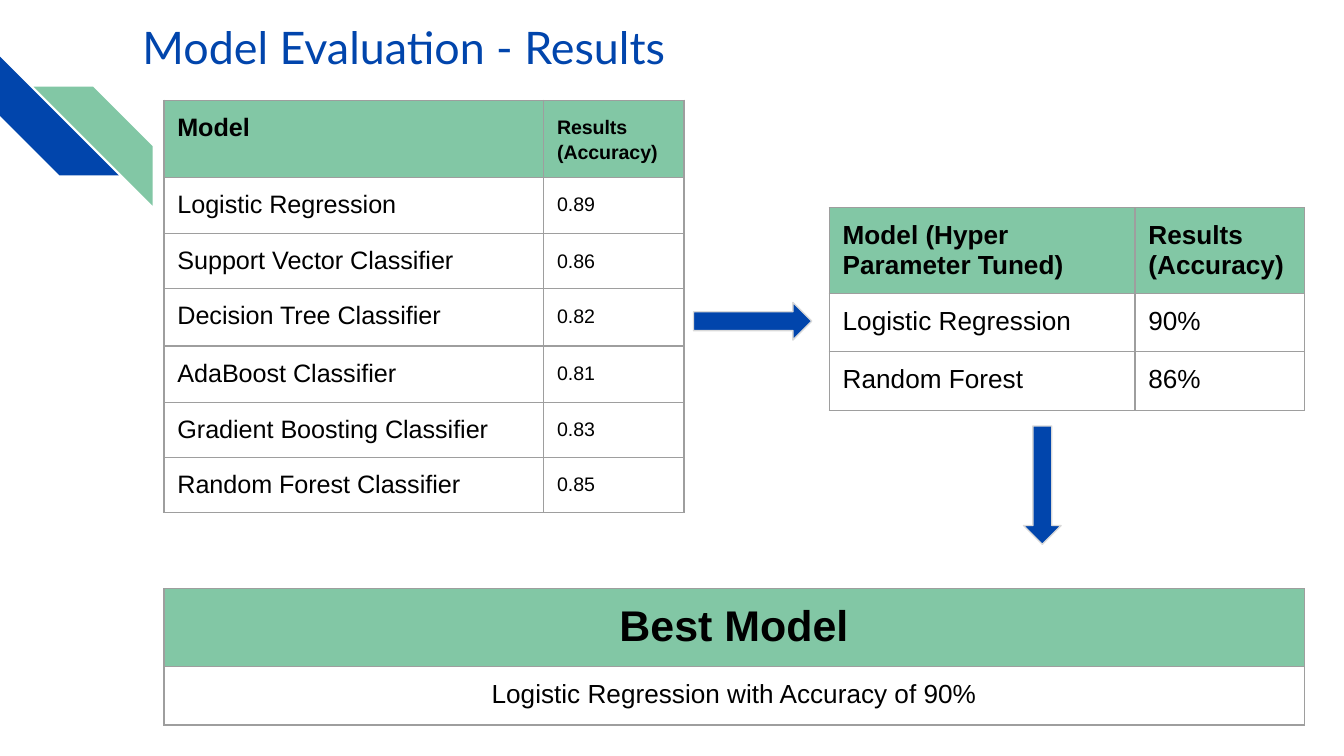
from lxml.etree import SubElement as Sub
from pptx import Presentation
from pptx.dml.color import RGBColor
from pptx.enum.shapes import MSO_SHAPE as Shape
from pptx.enum.text import MSO_ANCHOR as Anchor, PP_ALIGN as Align
from pptx.oxml.ns import qn
from pptx.util import Inches, Pt

BLUE, GREEN, GREY, PALE, BLACK = "0145AC", "82C7A5", "9E9E9E", "D9D9D9", "000000"
CELLS = 10  # grid columns and rows per inch
PAD = Inches(0.1)


def size(n):
    return Inches(n / CELLS)


def color(code):
    return RGBColor.from_string(code)


class Deck:
    def __init__(self, cols, rows):
        self.prs = Presentation()
        self.prs.slide_width, self.prs.slide_height = size(cols), size(rows)
        self.slide = self.prs.slides.add_slide(self.prs.slide_layouts[5])
        self.shapes = self.slide.shapes

    def style(self, par, pts, code=BLACK, bold=False, font="Arial", align=Align.LEFT):
        par.alignment = align
        par.font.name, par.font.size, par.font.bold = font, Pt(pts), bold
        par.font.color.rgb = color(code)

    def title(self, text, x, y, w, h):
        box = self.shapes.title
        box.left, box.top, box.width, box.height = map(size, (x, y, w, h))
        frame = box.text_frame
        frame.text, frame.word_wrap = text, True
        frame.vertical_anchor = Anchor.TOP
        frame.margin_left = frame.margin_right = PAD
        frame.margin_top = frame.margin_bottom = PAD
        self.style(frame.paragraphs[0], 24, BLUE, font="Lato")

    def shape(self, kind, x, y, w, h, fill, turn=0, line=None):
        item = self.shapes.add_shape(kind, *map(size, (x, y, w, h)))
        item.shadow.inherit = False
        item.rotation = turn
        item.fill.solid()
        item.fill.fore_color.rgb = color(fill)
        if line:
            item.line.color.rgb = color(line)
            item.line.width = Pt(0.75)
        else:
            item.line.fill.background()

    def border(self, cell):
        props = cell._tc.get_or_add_tcPr()
        for spot, side in enumerate(("lnL", "lnR", "lnT", "lnB")):
            line = Sub(props, qn(f"a:{side}"), w=str(Pt(0.75)))
            Sub(Sub(line, qn("a:solidFill")), qn("a:srgbClr"), val=GREY)
            props.insert(spot, line)

    def table(self, x, y, cols, rows, data, fonts, heads=None, align=Align.LEFT):
        """fonts holds (points, space before, line spacing) for each column."""
        grid = self.shapes.add_table(
            len(rows), len(cols), *map(size, (x, y, sum(cols), sum(rows)))).table
        grid.first_row = grid.horz_banding = False
        for col, width in zip(grid.columns, cols):
            col.width = size(width)
        for r, (row, high) in enumerate(zip(grid.rows, rows)):
            row.height = size(high)
            for c, cell in enumerate(row.cells):
                pts, before, space = fonts[c]
                head = r == 0
                cell.text = data[r][c]
                cell.margin_left = cell.margin_right = PAD
                cell.margin_top = cell.margin_bottom = PAD
                par = cell.text_frame.paragraphs[0]
                self.style(par, heads if head and heads else pts, bold=head, align=align)
                par.space_before, par.line_spacing = Pt(before), space
                if head:
                    cell.fill.solid()
                    cell.fill.fore_color.rgb = color(GREEN)
                else:
                    cell.fill.background()
                self.border(cell)


def main():
    deck = Deck(100, 56.25)
    left = 12.2

    # Corner stripes
    deck.shape(Shape.DIAGONAL_STRIPE, 0, 4.2, 8.85, 8.85, BLUE, turn=270)
    deck.shape(Shape.DIAGONAL_STRIPE, 2.5, 6.45, 8.85, 8.85, GREEN, turn=90)

    deck.title("Model Evaluation - Results", 9.6, 0.5, 51.6, 6.1)

    # All models
    deck.table(left, 7.45, [28.25, 10.45], [5.75, 4.2, 4.1, 4.25, 4.2, 4.1, 4.1], [
        ("Model", "Results (Accuracy)"),
        ("Logistic Regression", "0.89"),
        ("Support Vector Classifier", "0.86"),
        ("Decision Tree Classifier", "0.82"),
        ("AdaBoost Classifier", "0.81"),
        ("Gradient Boosting Classifier", "0.83"),
        ("Random Forest Classifier", "0.85"),
    ], [(13.5, 10, 1.0), (10.5, 0, 1.15)])

    # Tuned models
    deck.table(61.7, 15.45, [22.75, 12.6], [6.3, 4.35, 4.35], [
        ("Model (Hyper Parameter Tuned)", "Results (Accuracy)"),
        ("Logistic Regression", "90%"),
        ("Random Forest", "86%"),
    ], [(14, 0, 1.0)] * 2)

    # Best model
    deck.table(left, 43.8, [84.85], [5.8, 4.35], [
        ("Best Model",),
        ("Logistic Regression with Accuracy of 90%",),
    ], [(14, 0, 1.0)], heads=23, align=Align.CENTER)

    # Arrows between the tables
    for x, y, turn in ((51.6, 22.5, 0), (73.15, 34.7, 90)):
        deck.shape(Shape.RIGHT_ARROW, x, y, 8.8, 2.8, BLUE, turn, PALE)

    deck.prs.save("out.pptx")


if __name__ == "__main__":
    main()
